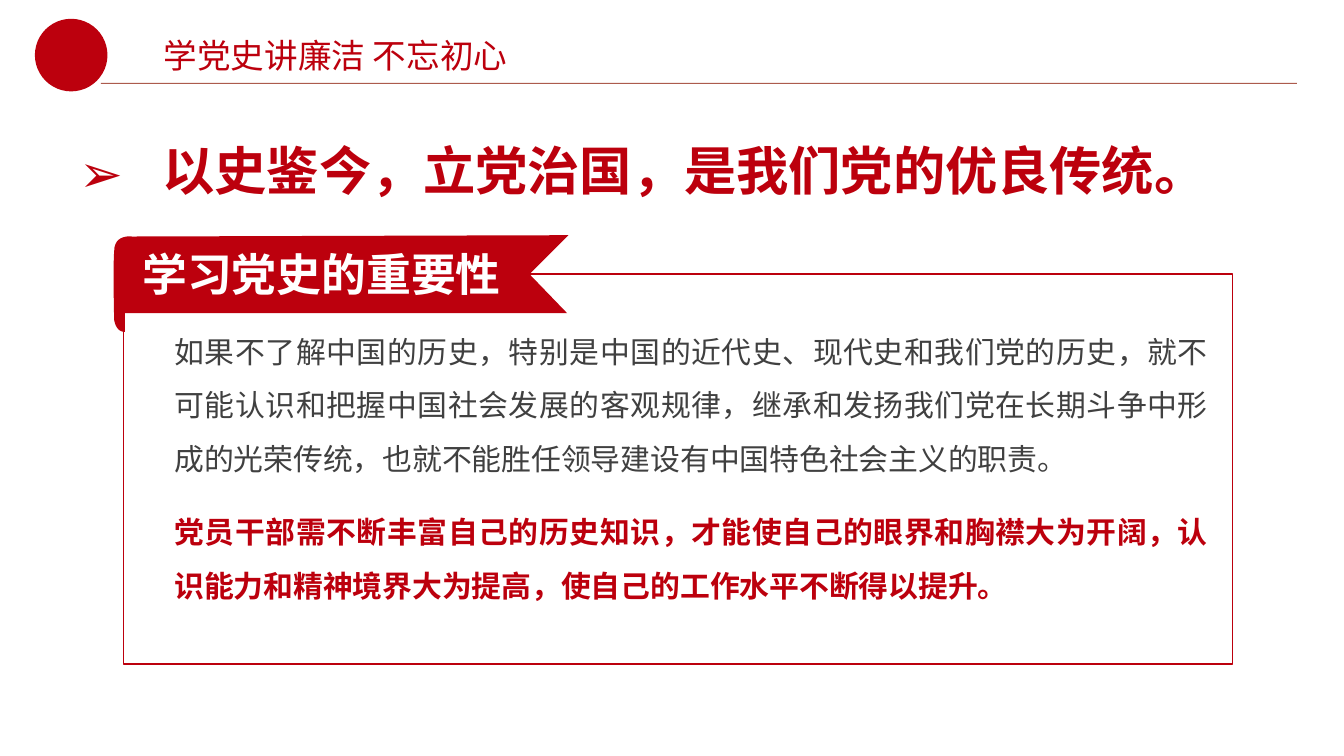
from lxml.etree import SubElement
from pptx import Presentation
from pptx.dml.color import RGBColor
from pptx.enum.shapes import MSO_CONNECTOR, MSO_SHAPE
from pptx.enum.text import PP_ALIGN
from pptx.oxml.ns import qn
from pptx.util import Inches, Pt

FONT = "Noto Sans CJK SC"
COLORS = {
    "red": "BC000D",
    "rule": "8E1F0C",
    "body": "404040",
    "white": "FFFFFF",
}


def color(name):
    return RGBColor.from_string(COLORS[name])


def set_opacity(fill_owner, percent):
    for srgb in fill_owner.iter(qn("a:srgbClr")):
        SubElement(srgb, qn("a:alpha"), val=str(percent * 1000))


def fill_plain(shape, fill):
    shape.shadow.inherit = False
    shape.fill.solid()
    shape.fill.fore_color.rgb = color(fill)
    shape.line.fill.background()
    return shape


def add_text_frame(slide, left, top, width, height):
    frame = slide.shapes.add_textbox(
        Inches(left), Inches(top), Inches(width), Inches(height)).text_frame
    frame.word_wrap = True
    return frame


def add_run(paragraph, text, size, ink, bold=False):
    run = paragraph.add_run()
    run.text = text
    run.font.size = Pt(size)
    run.font.name = FONT
    run.font.bold = bold
    run.font.color.rgb = color(ink)
    SubElement(run.font._element, qn("a:ea"), typeface=FONT)


def set_indent(paragraph, margin, indent=0):
    properties = paragraph._p.get_or_add_pPr()
    properties.set("marL", str(Inches(margin)))
    properties.set("indent", str(Inches(indent)))
    return properties


def add_header(slide):
    rule = slide.shapes.add_connector(
        MSO_CONNECTOR.STRAIGHT,
        Inches(0.75), Inches(0.62), Inches(9.65), Inches(0.62))
    rule.line.color.rgb = color("rule")
    rule.line.width = Pt(0.5)
    set_opacity(rule.line._ln, 73)
    SubElement(rule._element.spPr, qn("a:effectLst"))

    # Plain disc as the header mark
    fill_plain(slide.shapes.add_shape(
        MSO_SHAPE.OVAL, Inches(0.26), Inches(0.14),
        Inches(0.54), Inches(0.54)), "red")

    topic = add_text_frame(slide, 1.12, 0.21, 4.43, 0.55)
    add_run(topic.paragraphs[0], "学党史讲廉洁 不忘初心", 18, "red")


def add_headline(slide):
    frame = add_text_frame(slide, 0.49, 0.98, 8.69, 0.57)
    headline = frame.paragraphs[0]
    headline.alignment = PP_ALIGN.JUSTIFY
    properties = set_indent(headline, 0.62, -0.62)
    SubElement(properties, qn("a:buFont"), typeface=FONT)
    SubElement(properties, qn("a:buChar"), char="➢")
    add_run(headline, "以史鉴今，立党治国，是我们党的优良传统。", 28, "red", True)


def add_panel(slide):
    panel = fill_plain(slide.shapes.add_shape(
        MSO_SHAPE.RECTANGLE, Inches(0.92), Inches(2.04),
        Inches(8.25), Inches(2.9)), "white")
    set_opacity(panel._element.spPr, 48)
    panel.line.color.rgb = color("red")
    panel.line.width = Pt(0.75)


def add_body(slide):
    statements = [
        ("如果不了解中国的历史，特别是中国的近代史、现代史和我们党的历史，"
         "就不可能认识和把握中国社会发展的客观规律，继承和发扬我们党在长期斗争中"
         "形成的光荣传统，也就不能胜任领导建设有中国特色社会主义的职责。",
         "body", False),
        ("党员干部需不断丰富自己的历史知识，才能使自己的眼界和胸襟大为开阔，"
         "认识能力和精神境界大为提高，使自己的工作水平不断得以提升。",
         "red", True),
    ]
    frame = add_text_frame(slide, 0.2, 2.3, 8.9, 2.41)
    for index, (text, ink, bold) in enumerate(statements):
        statement = frame.add_paragraph() if index else frame.paragraphs[0]
        statement.level = 1
        statement.alignment = PP_ALIGN.JUSTIFY
        statement.line_spacing = Pt(28.7)
        if index:
            statement.space_before = Pt(10.5)
        set_indent(statement, 1)
        add_run(statement, text, 16, ink, bold)


def curve(start, control_1, control_2, end, steps=12):
    """Points along a cubic curve, without its start."""
    points = []
    for step in range(1, steps + 1):
        t = step / steps
        weights = ((1 - t) ** 3, 3 * t * (1 - t) ** 2,
                   3 * t ** 2 * (1 - t), t ** 3)
        points.append(tuple(
            sum(w * value for w, value in zip(weights, axis))
            for axis in zip(start, control_1, control_2, end)))
    return points


def add_ribbon(slide):
    top_left, fold_top, fold_bottom = (0.98, 1.76), (0.85, 1.87), (0.85, 2.38)
    outline = [(4.22, 2.33), (3.94, 2.04), (4.23, 1.75), top_left]
    outline += curve(top_left, top_left, (0.85, 1.74), fold_top)
    outline += curve(fold_top, (0.84, 1.99), fold_bottom, fold_bottom)
    outline += curve(fold_bottom, fold_bottom, (0.86, 2.47), (0.93, 2.47))
    outline.append((0.93, 2.33))

    start, *rest = [(Inches(x), Inches(y)) for x, y in outline]
    builder = slide.shapes.build_freeform(*start)
    builder.add_line_segments(rest, close=True)
    fill_plain(builder.convert_to_shape(), "red")

    label = add_text_frame(slide, 0.96, 1.79, 2.89, 0.5).paragraphs[0]
    label.alignment = PP_ALIGN.JUSTIFY
    add_run(label, "学习党史的重要性", 24, "white", True)


def main():
    # Widescreen page, 16 to 9
    presentation = Presentation()
    presentation.slide_width = Inches(10)
    presentation.slide_height = Inches(10 * 9 / 16)
    slide = presentation.slides.add_slide(presentation.slide_layouts[6])

    add_header(slide)
    add_headline(slide)
    add_panel(slide)
    add_body(slide)
    add_ribbon(slide)

    presentation.save("out.pptx")


if __name__ == "__main__":
    main()
